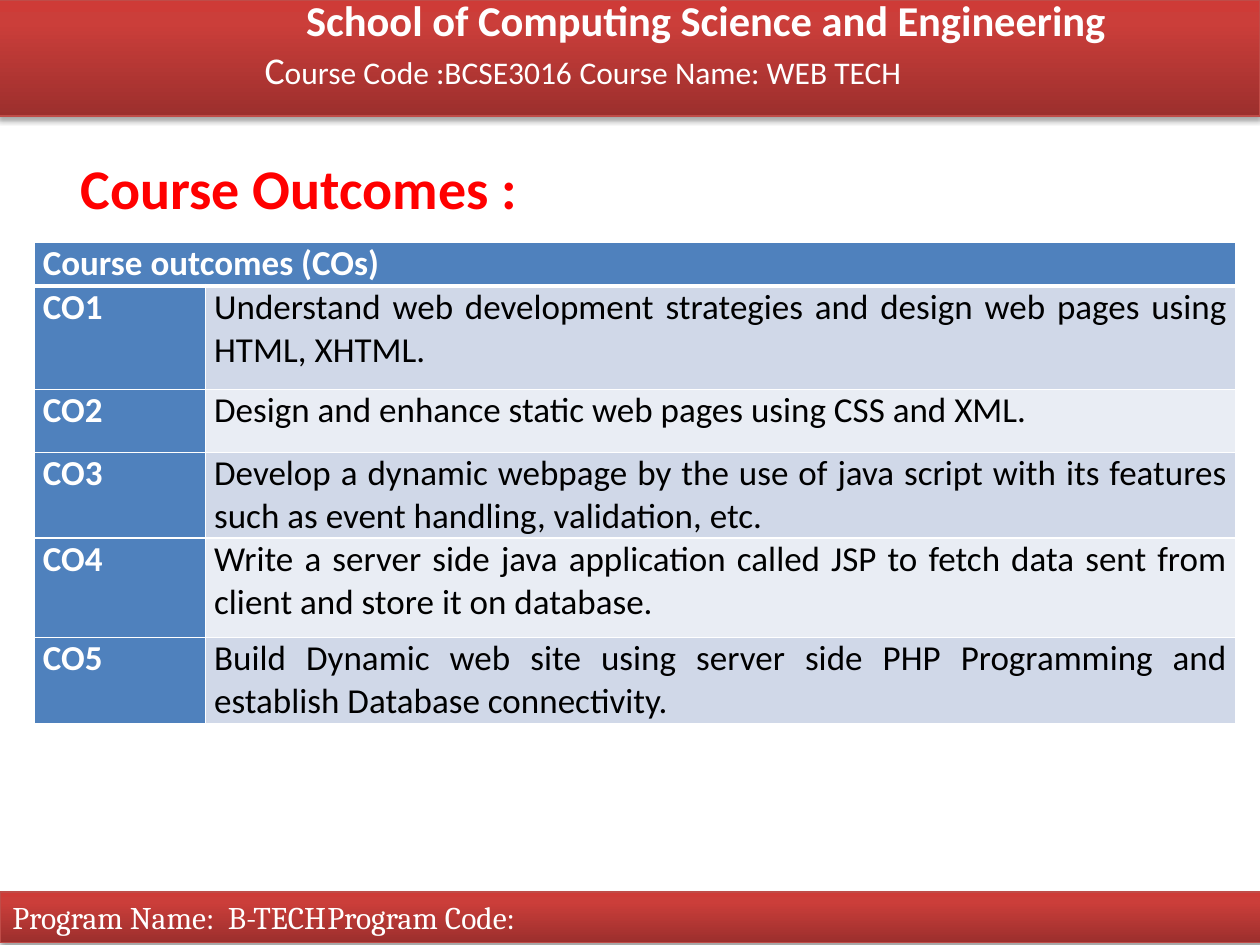
"""Build the course outcomes slide."""
from copy import deepcopy
from dataclasses import dataclass

from lxml import etree
from pptx import Presentation
from pptx import util as u
from pptx.dml.color import RGBColor
from pptx.enum import shapes, text
from pptx.oxml.ns import qn


@dataclass(frozen=True)
class Theme:
    """Colours, fonts and type sizes of the slide."""
    white: str = "FFFFFF"
    black: str = "000000"
    red: str = "FF0000"
    blue: str = "4F81BD"
    bands: tuple = ("D0D8E8", "E9EDF4")
    bar_stops: tuple = ((0, "9C2F2D"), (0.8, "CB3E3A"), (1, "CE3B37"))
    bar_line: str = "BF4C48"
    sans: str = "Calibri"
    serif: str = "Cambria"
    school: float = 24.3
    initial: float = 21.6
    detail: float = 18
    heading: float = 32
    body: float = 20


class SlideBuilder:
    """Hold the theme and the current slide, and add styled elements."""

    def __init__(self, slide, theme):
        self.slide = slide
        self.theme = theme

    def run(self, paragraph, words, size, color, bold=False, font=None):
        """Add one styled run."""
        run = paragraph.add_run()
        run.text = words
        run.font.name = font or self.theme.sans
        run.font.size = u.Pt(size)
        run.font.bold = bold
        run.font.color.rgb = RGBColor.from_string(color)

    def frame(self, holder, anchor, margins):
        """Set up a text frame and return it."""
        frame = holder.text_frame
        frame.word_wrap = True
        frame.auto_size = text.MSO_AUTO_SIZE.NONE
        frame.vertical_anchor = anchor
        (frame.margin_left, frame.margin_top,
         frame.margin_right, frame.margin_bottom) = map(u.Inches, margins)
        return frame

    def indent(self, paragraph, left=0, tab=None):
        """Left-align a paragraph with an indent and an optional tab stop."""
        paragraph.alignment = text.PP_ALIGN.LEFT
        properties = paragraph._p.get_or_add_pPr()
        properties.set("marL", str(u.Inches(left)))
        properties.set("indent", "0")
        if tab:
            stops = etree.SubElement(properties, qn("a:tabLst"))
            etree.SubElement(stops, qn("a:tab"), pos=str(u.Inches(tab)), algn="l")

    def paint_bar(self, bar):
        """Give a bar its gradient, outline and shadow."""
        bar.fill.gradient()
        bar.fill.gradient_angle = 90
        stop_list = bar._element.spPr.find(".//" + qn("a:gsLst"))
        stop_list.append(deepcopy(stop_list[-1]))
        for stop, (position, color) in zip(bar.fill.gradient_stops, self.theme.bar_stops):
            stop.position = position
            stop.color.rgb = RGBColor.from_string(color)
        bar.line.color.rgb = RGBColor.from_string(self.theme.bar_line)
        bar.line.width = u.Pt(0.75)
        bar.shadow.inherit = False
        effects = bar._element.spPr.find(qn("a:effectLst"))
        shadow = etree.SubElement(effects, qn("a:outerShdw"), blurRad=str(u.Pt(3.1)),
                                  dist=str(u.Pt(1.8)), dir="5400000", rotWithShape="0")
        tint = etree.SubElement(shadow, qn("a:srgbClr"), val=self.theme.black)
        etree.SubElement(tint, qn("a:alpha"), val="35000")

    def header(self, school, code, name):
        """Fill the title placeholder as the top bar."""
        bar, theme = self.slide.shapes.title, self.theme
        bar.left, bar.top, bar.width, bar.height = map(u.Inches, (-0.02, 0, 10.02, 0.92))
        self.paint_bar(bar)
        frame = self.frame(bar, text.MSO_ANCHOR.TOP, (2.12, 0, 0.1, 0))
        first, second = frame.paragraphs[0], frame.add_paragraph()
        for line in (first, second):
            line.line_spacing = 0.9
            line.space_before = u.Pt(0)
        second.space_before = u.Pt(3.6)
        self.indent(first, left=0.33)
        self.run(first, school, theme.school, theme.white, bold=True)
        self.indent(second, tab=2.8)
        self.run(second, code[0], theme.initial, theme.white)
        self.run(second, f"{code[1:]}\t{name}", theme.detail, theme.white)

    def footer(self, program, code):
        """Add the bottom bar."""
        bar = self.slide.shapes.add_shape(
            shapes.MSO_SHAPE.RECTANGLE, *map(u.Inches, (0, 7.08, 10.03, 0.4)))
        self.paint_bar(bar)
        frame = self.frame(bar, text.MSO_ANCHOR.TOP, (0.1, 0.05, 0.1, 0.05))
        line = frame.paragraphs[0]
        self.indent(line, tab=4.82)
        self.run(line, f"{program}\t{code}", self.theme.detail, self.theme.white,
                 font=self.theme.serif)

    def heading(self, words):
        """Add the red section heading."""
        box = self.slide.shapes.add_textbox(*map(u.Inches, (0.54, 1.17, 8.94, 0.64)))
        frame = self.frame(box, text.MSO_ANCHOR.TOP, (0.1, 0.05, 0.1, 0.05))
        self.run(frame.paragraphs[0], words, self.theme.heading, self.theme.red, bold=True)

    def cell(self, cell, words, fill, label=True, top=1, bottom=1):
        """Fill one table cell; labels are bold white, others justified black."""
        theme = self.theme
        cell.margin_left = cell.margin_right = u.Inches(0.07)
        cell.margin_top = cell.margin_bottom = 0
        cell.fill.solid()
        cell.fill.fore_color.rgb = RGBColor.from_string(fill)
        edges = {"lnL": 1, "lnR": 1, "lnT": top, "lnB": bottom}
        properties = cell._tc.get_or_add_tcPr()
        for place, (edge, width) in enumerate(edges.items()):
            line = etree.Element(qn(f"a:{edge}"), w=str(u.Pt(width)))
            solid = etree.SubElement(line, qn("a:solidFill"))
            etree.SubElement(solid, qn("a:srgbClr"), val=theme.white)
            properties.insert(place, line)
        paragraph = cell.text_frame.paragraphs[0]
        paragraph.alignment = text.PP_ALIGN.LEFT if label else text.PP_ALIGN.JUSTIFY
        if words:
            self.run(paragraph, words, theme.body, theme.white if label else theme.black, label)

    def outcomes_table(self, caption, outcomes, widths, heights):
        """Add the table with a merged caption row and numbered outcomes."""
        table = self.slide.shapes.add_table(
            len(heights), len(widths), u.Inches(0.27), u.Inches(1.92),
            u.Inches(sum(widths)), u.Inches(sum(heights))).table
        for column, width in zip(table.columns, widths):
            column.width = u.Inches(width)
        for row, height in zip(table.rows, heights):
            row.height = u.Inches(height)
        table.cell(0, 0).merge(table.cell(0, 1))
        for column, words in enumerate((caption, "")):
            self.cell(table.cell(0, column), words, self.theme.blue, bottom=3)
        for number, outcome in enumerate(outcomes, start=1):
            top = 3 if number == 1 else 1
            band = self.theme.bands[(number - 1) % 2]
            self.cell(table.cell(number, 0), f"CO{number}", self.theme.blue, top=top)
            self.cell(table.cell(number, 1), outcome, band, label=False, top=top)


OUTCOMES = (
    "Understand web development strategies and design web pages using HTML, XHTML.",
    "Design and enhance static web pages using CSS and XML.",
    "Develop a dynamic webpage by the use of java script with its features "
    "such as event handling, validation, etc.",
    "Write a server side java application called JSP to fetch data sent from "
    "client and store it on database.",
    "Build Dynamic web site using server side PHP Programming and establish "
    "Database connectivity.",
)


def main():
    """Build and save the slide."""
    deck = Presentation()
    deck.slide_width, deck.slide_height = u.Inches(10), u.Inches(7.5)
    builder = SlideBuilder(deck.slides.add_slide(deck.slide_layouts[5]), Theme())
    builder.header("School of Computing Science and Engineering",
                   "Course Code :BCSE3016", "Course Name: WEB TECH")
    builder.footer("Program Name:  B-TECH", "Program Code:")
    builder.heading("Course Outcomes :")
    builder.outcomes_table("Course outcomes (COs)", OUTCOMES, widths=(1.36, 8.18),
                           heights=(0.35, 0.82, 0.5, 0.68, 0.79, 0.68))
    deck.save("out.pptx")


if __name__ == "__main__":
    main()
